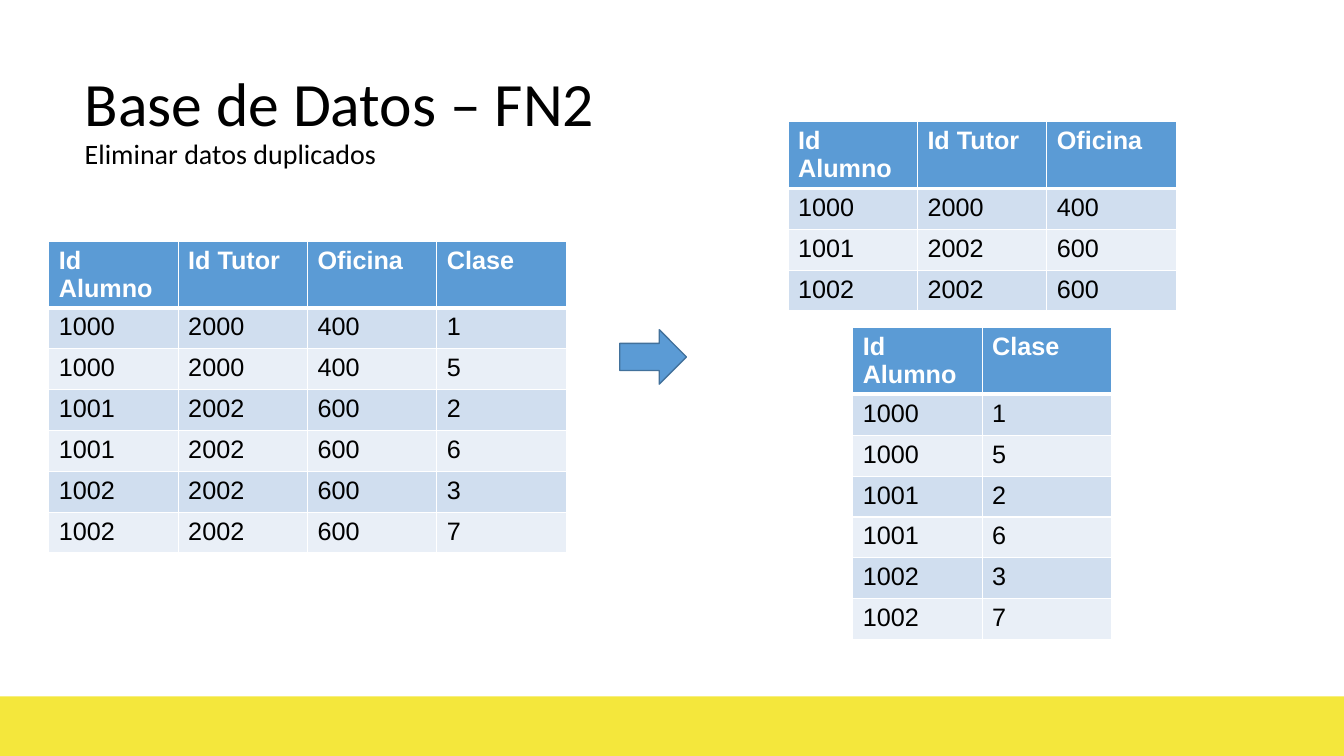
"""Build the slide that splits a student table into second normal form."""
from lxml.etree import SubElement
from pptx import Presentation
from pptx.dml.color import RGBColor
from pptx.enum.shapes import MSO_SHAPE
from pptx.enum.text import MSO_ANCHOR, MSO_AUTO_SIZE, PP_ALIGN
from pptx.oxml.ns import qn
from pptx.util import Cm, Pt

BLUE, DARK_BLUE, YELLOW = "5B9BD5", "42719B", "F4E73C"
BLACK, WHITE = "000000", "FFFFFF"
BANDS = ("D0DEEF", "E9EFF7")
COLUMN_WIDTH, ROW_HEIGHT = 3.26, 1.03

HEADINGS = ("Id Alumno", "Id Tutor", "Oficina", "Clase")
RECORDS = (
    ("1000", "2000", "400", "1"),
    ("1000", "2000", "400", "5"),
    ("1001", "2002", "600", "2"),
    ("1001", "2002", "600", "6"),
    ("1002", "2002", "600", "3"),
    ("1002", "2002", "600", "7"),
)


def color(value):
    return RGBColor.from_string(value)


def set_attributes(target, values):
    for name, value in values.items():
        setattr(target, name, value)


def write(para, text, font, size, ink, bold=False):
    span = para.add_run()
    span.text = text
    set_attributes(span.font, {"name": font, "size": Pt(size), "bold": bold})
    span.font.color.rgb = color(ink)


def add_title(page, lines):
    title = page.shapes.title
    set_attributes(title, {"left": Cm(1.88), "top": Cm(1.42),
                           "width": Cm(20.78), "height": Cm(3)})
    frame = title.text_frame
    set_attributes(frame, {"vertical_anchor": MSO_ANCHOR.BOTTOM, "word_wrap": True,
                           "auto_size": MSO_AUTO_SIZE.NONE})
    for index, (text, size) in enumerate(lines):
        para = frame.add_paragraph() if index else frame.paragraphs[0]
        set_attributes(para, {"alignment": PP_ALIGN.LEFT, "line_spacing": 0.9,
                              "space_before": Pt(0)})
        write(para, text, "Calibri", size, BLACK)


def add_block(page, kind, left, top, width, height, fill, outline=None):
    block = page.shapes.add_shape(kind, Cm(left), Cm(top), Cm(width), Cm(height))
    block.shadow.inherit = False
    block.fill.solid()
    block.fill.fore_color.rgb = color(fill)
    if outline:
        block.line.color.rgb = color(outline)
        block.line.width = Pt(1)
    else:
        block.line.fill.background()


def add_borders(cell, top, bottom):
    properties = cell._tc.get_or_add_tcPr()
    for side, width in {"L": 1, "R": 1, "T": top, "B": bottom}.items():
        line = SubElement(properties, qn(f"a:ln{side}"), w=str(Pt(width)))
        fill = SubElement(line, qn("a:solidFill"))
        SubElement(fill, qn("a:srgbClr"), val=WHITE)


def add_data_table(page, left, top, rows):
    row_count, column_count = len(rows), len(rows[0])
    table = page.shapes.add_table(
        row_count, column_count, Cm(left), Cm(top),
        Cm(COLUMN_WIDTH * column_count), Cm(ROW_HEIGHT * row_count)).table
    for column in table.columns:
        column.width = Cm(COLUMN_WIDTH)
    for row_index, values in enumerate(rows):
        table.rows[row_index].height = Cm(ROW_HEIGHT)
        header = row_index == 0
        fill = BLUE if header else BANDS[(row_index - 1) % 2]
        for column_index, text in enumerate(values):
            cell = table.cell(row_index, column_index)
            add_borders(cell, 3 if row_index == 1 else 1, 3 if header else 1)
            cell.fill.solid()
            cell.fill.fore_color.rgb = color(fill)
            write(cell.text_frame.paragraphs[0], text, "Arial", 18,
                  WHITE if header else BLACK, header)


def select(*columns):
    rows = [tuple(row[column] for column in columns) for row in (HEADINGS, *RECORDS)]
    return list(dict.fromkeys(rows))


def main():
    deck = Presentation()
    set_attributes(deck, {"slide_width": Cm(33.87), "slide_height": Cm(19.05)})
    page = deck.slides.add_slide(deck.slide_layouts[5])
    add_block(page, MSO_SHAPE.RECTANGLE, 0, 17.55, 33.87, 1.5, YELLOW)
    add_title(page, (("Base de Datos – FN2", 44), ("Eliminar datos duplicados", 20)))
    add_block(page, MSO_SHAPE.RIGHT_ARROW, 15.62, 8.31, 1.68, 1.37, BLUE, DARK_BLUE)
    add_data_table(page, 1.23, 6.08, select(0, 1, 2, 3))
    add_data_table(page, 19.86, 3.07, select(0, 1, 2))
    add_data_table(page, 21.49, 8.26, select(0, 3))
    deck.save("out.pptx")


if __name__ == "__main__":
    main()
